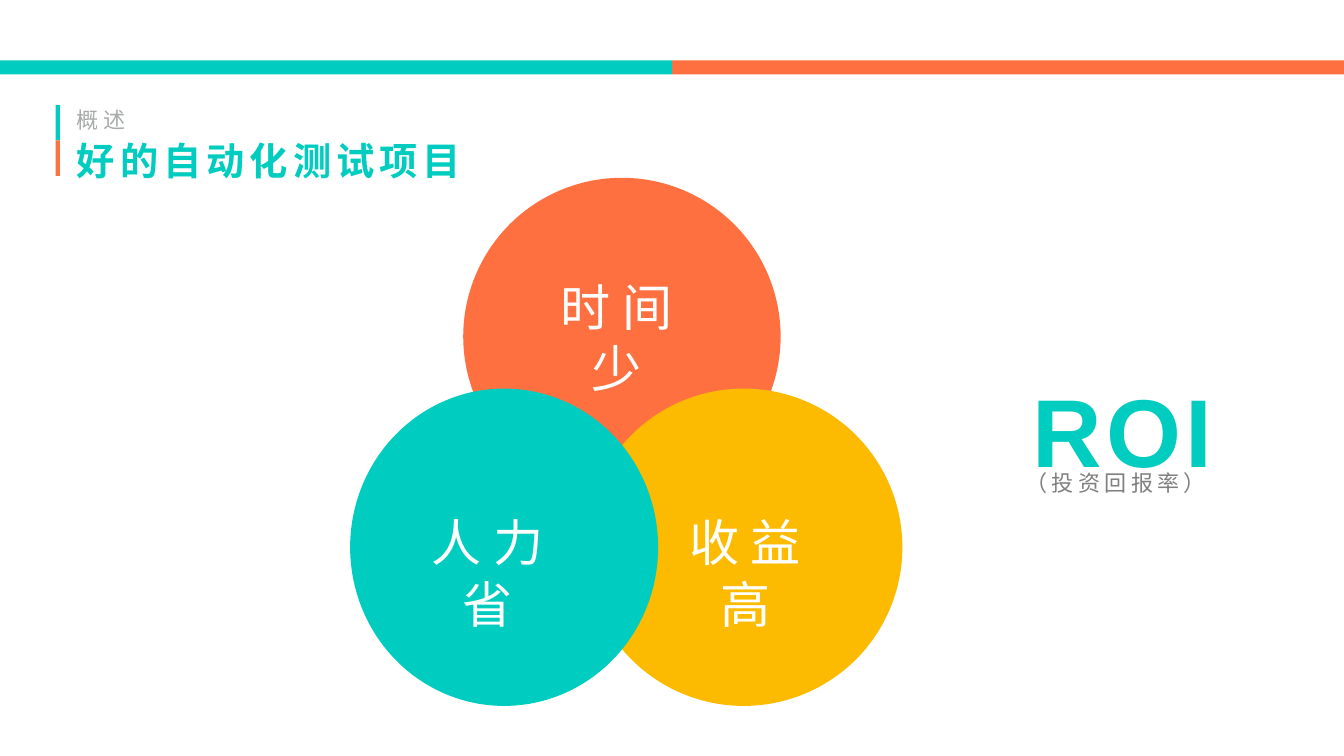
from lxml.etree import SubElement
from pptx import Presentation
from pptx.dml.color import RGBColor
from pptx.enum.shapes import MSO_SHAPE
from pptx.enum.text import MSO_ANCHOR, MSO_AUTO_SIZE, PP_ALIGN
from pptx.oxml.ns import qn
from pptx.util import Cm, Pt

TEAL = RGBColor(0x00, 0xCC, 0xBF)
ORANGE = RGBColor(0xFF, 0x70, 0x40)
YELLOW = RGBColor(0xFC, 0xBB, 0x00)
WHITE = RGBColor(0xFF, 0xFF, 0xFF)
LIGHT_GRAY = RGBColor(0xA6, 0xAA, 0xA9)
GRAY = RGBColor(0x7F, 0x7F, 0x7F)
SANS_SC = "Noto Sans CJK SC"
SANS_TC = "Noto Sans CJK TC"

SECTION = "概述"
TITLE = "好的自动化测试项目"
GOAL = "ROI"
GOAL_NOTE = "（投资回报率）"

# text, colour, circle left, top and width, label centre and top
FACTORS = [
    ("时 间 少", ORANGE, 19.25, 7.39, 13.19, 25.63, 11.46),
    ("收 益 高", YELLOW, 24.31, 16.15, 13.19, 30.97, 21.23),
    ("人 力 省", TEAL, 14.55, 16.15, 12.8, 20.27, 21.23),
]

SLIDE_WIDTH, SLIDE_HEIGHT = 55.85, 31.42
BAND_TOP, BAND_HEIGHT = 2.51, 0.58
MARK_LEFT, MARK_TOP, MARK_WIDTH, MARK_HEIGHT = 2.31, 4.37, 0.18, 1.47
CIRCLE_HEIGHT = 13.19
LABEL_WIDTH, LABEL_HEIGHT = 5.6, 5
LINE_RATIO = 1.22


def add_filled(slide, preset, color, left, top, width, height):
    shape = slide.shapes.add_shape(preset, Cm(left), Cm(top), Cm(width), Cm(height))
    shape.shadow.inherit = False
    shape.fill.solid()
    shape.fill.fore_color.rgb = color
    shape.line.fill.background()


def add_box(slide, left, top, width, height):
    return slide.shapes.add_textbox(Cm(left), Cm(top), Cm(width), Cm(height))


def write(box, text, size, color, font_name, spacing, align=PP_ALIGN.LEFT, bold=False):
    frame = box.text_frame
    frame.text = text
    frame.word_wrap = True
    frame.auto_size = MSO_AUTO_SIZE.NONE
    frame.vertical_anchor = MSO_ANCHOR.TOP
    frame.margin_left = frame.margin_right = frame.margin_top = frame.margin_bottom = 0
    paragraph = frame.paragraphs[0]
    paragraph.alignment = align
    paragraph.line_spacing = Pt(round(size * LINE_RATIO, 1))
    paragraph.space_before = Pt(0)
    run = paragraph.runs[0]
    run.font.size = Pt(size)
    run.font.bold = bold
    run.font.color.rgb = color
    run.font.name = font_name
    properties = run.font._element
    properties.set("spc", str(round(spacing * 100)))
    SubElement(properties, qn("a:ea")).set("typeface", font_name)


def main():
    deck = Presentation()
    deck.slide_width, deck.slide_height = Cm(SLIDE_WIDTH), Cm(SLIDE_HEIGHT)
    slide = deck.slides.add_slide(deck.slide_layouts[5])

    title = slide.shapes.title
    title.left, title.top, title.width, title.height = Cm(3.19), Cm(5.69), Cm(17), Cm(1.95)
    write(title, TITLE, 45, TEAL, SANS_TC, 6, bold=True)
    write(add_box(slide, 3.19, 4.42, 4, 1.15), SECTION, 26, LIGHT_GRAY, SANS_SC, 5.2)

    half = SLIDE_WIDTH / 2
    for index, color in enumerate((TEAL, ORANGE)):
        add_filled(slide, MSO_SHAPE.RECTANGLE, color, index * half, BAND_TOP, half, BAND_HEIGHT)
        add_filled(slide, MSO_SHAPE.RECTANGLE, color, MARK_LEFT,
                   MARK_TOP + index * MARK_HEIGHT, MARK_WIDTH, MARK_HEIGHT)

    for _, color, left, top, width, _, _ in FACTORS:
        add_filled(slide, MSO_SHAPE.OVAL, color, left, top, width, CIRCLE_HEIGHT)
    for text, _, _, _, _, center, top in FACTORS:
        label = add_box(slide, center - LABEL_WIDTH / 2, top, LABEL_WIDTH, LABEL_HEIGHT)
        write(label, text, 59, WHITE, SANS_SC, 0.3, PP_ALIGN.CENTER)

    write(add_box(slide, 40.37, 15.35, 10, 4.8), GOAL, 113.5, TEAL, "Arial", 5,
          PP_ALIGN.RIGHT, bold=True)
    write(add_box(slide, 42.6, 19.51, 8, 1.15), GOAL_NOTE, 26, GRAY, SANS_SC, 5.2)

    deck.save("out.pptx")


if __name__ == "__main__":
    main()
